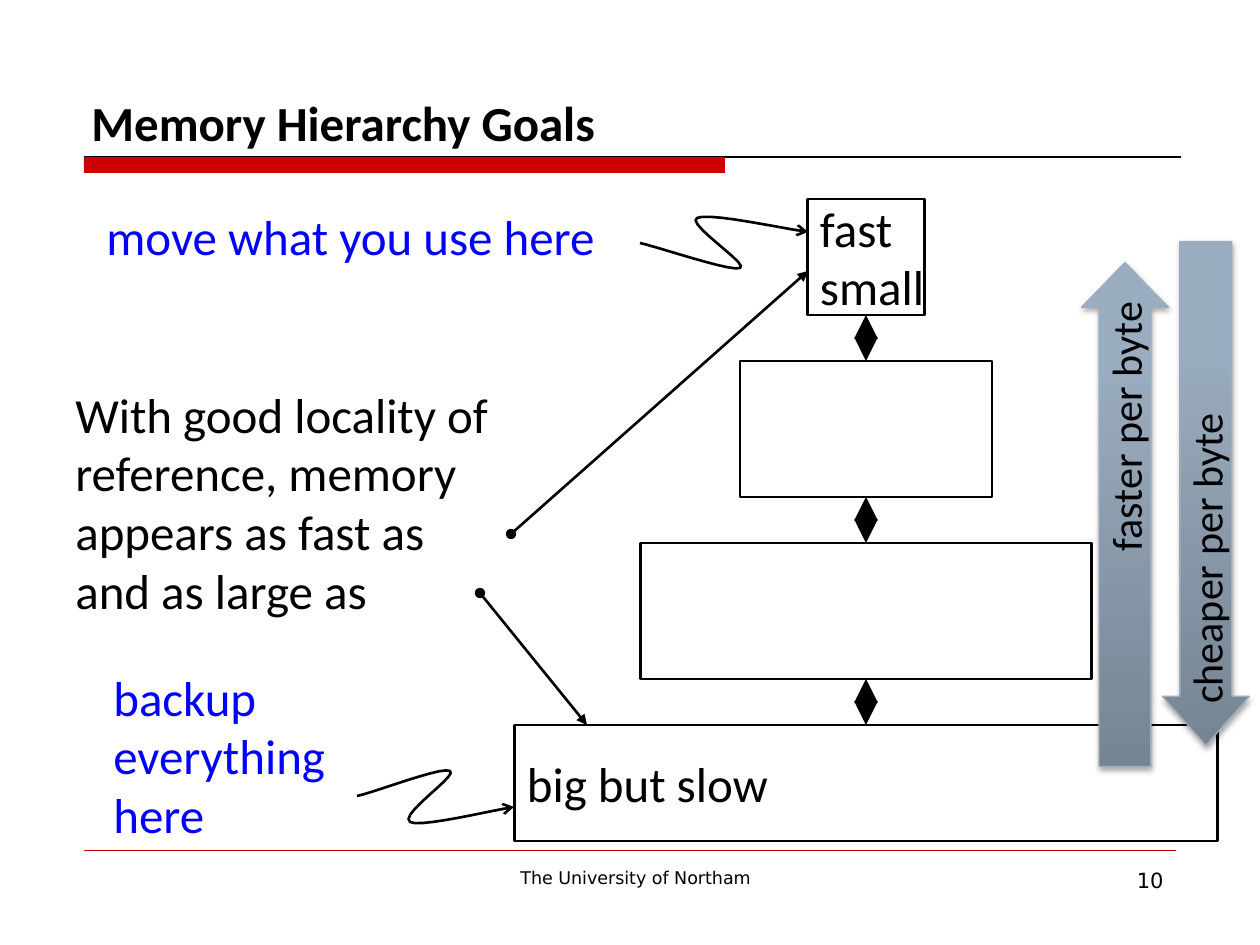
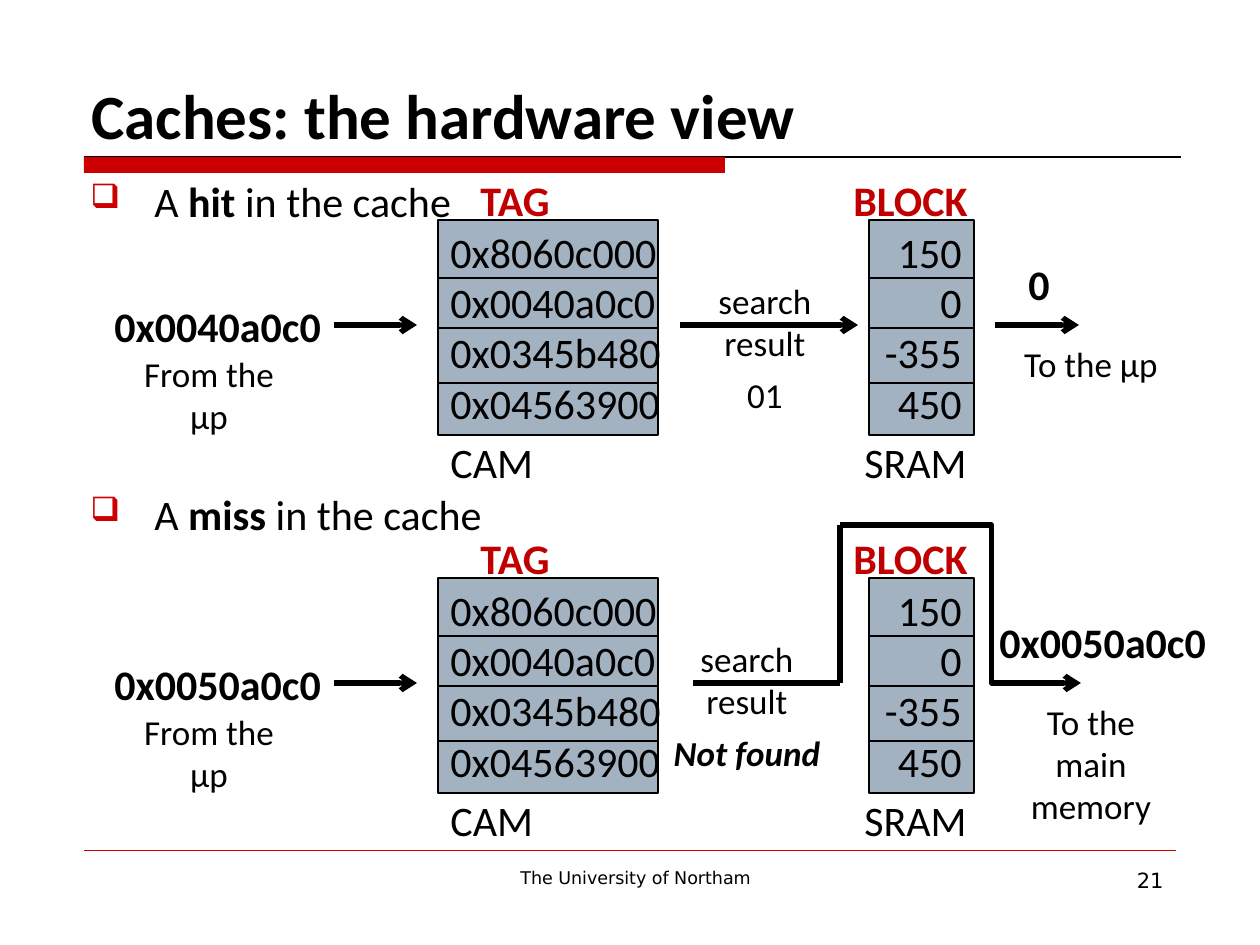
"""Build two lecture slides on the memory hierarchy and on cache hits and misses."""
from lxml import etree
from pptx import Presentation
from pptx.dml.color import RGBColor
from pptx.enum.shapes import MSO_CONNECTOR, MSO_SHAPE
from pptx.enum.text import MSO_ANCHOR, PP_ALIGN
from pptx.oxml.ns import qn
from pptx.util import Emu, Pt

SCALE = 914400 / 126
BLACK = RGBColor(0, 0, 0)
WHITE = RGBColor(255, 255, 255)
BLUE = RGBColor(0, 0, 255)
RED = RGBColor(0xCC, 0, 0)
DARK_RED = RGBColor(0xC0, 0, 0)
CELL_GRAY = RGBColor(0xA3, 0xB2, 0xC1)
ARROW_DARK = RGBColor(0x76, 0x85, 0x93)
ARROW_LIGHT = RGBColor(0x9A, 0xAC, 0xBF)
ARROW_EDGE = RGBColor(0x9F, 0xAE, 0xBD)
STRAIGHT, ELBOW = MSO_CONNECTOR.STRAIGHT, MSO_CONNECTOR.ELBOW
RECTANGLE, RIGHT_ARROW = MSO_SHAPE.RECTANGLE, MSO_SHAPE.RIGHT_ARROW
LEFT, CENTER, RIGHT = PP_ALIGN.LEFT, PP_ALIGN.CENTER, PP_ALIGN.RIGHT
TOP, MIDDLE, BOTTOM = MSO_ANCHOR.TOP, MSO_ANCHOR.MIDDLE, MSO_ANCHOR.BOTTOM
BODY_FONT, FOOTER_FONT = "Calibri", "DejaVu Sans"

FOOTER = "The University of Northam"

LEVELS = [
    (117, 116, ["fast", "small"]),
    (252, 136, []),
    (451, 136, []),
    (703, 116, ["big but slow"]),
]
LEVEL_CENTER, LEVEL_TOP, LEVEL_GAP = 866, 199, 46
HIERARCHY_NOTES = [
    ((94, 200, 520, 72), ["move what you use here"], BLUE),
    ((101, 661, 240, 190), ["backup", "everything", "here"], BLUE),
    ((63, 378, 466, 250),
     ["With good locality of reference, memory appears as fast as", "and as large as"], BLACK),
]
SQUIGGLES = [
    [(640, 243), (658, 247), (731, 272), (740, 268), (750, 265), (685, 223), (697, 218),
     (708, 212), (785, 229), (808, 232)],
    [(357, 796), (373, 793), (442, 766), (450, 771), (459, 775), (398, 815), (410, 822),
     (420, 828), (493, 810), (514, 807)],
]
LOCALITY_ARROWS = [((511, 534), (808, 271)), ((480, 593), (587, 725))]
PRICE_ARROWS = [
    ((873, 471), "faster per byte", RIGHT, 0.515, False),
    ((954, 450), "cheaper per byte", LEFT, 0.565, True),
]

TAGS = ["0x8060c000", "0x0040a0c0", "0x0345b480", "0x04563900"]
BLOCKS = ["150", "0", "-355", "450"]
STORES = [(438, 220, TAGS, LEFT), (869, 105, BLOCKS, RIGHT)]
ROW_RULES = [278, 328, 383]
STORE_TOP, STORE_HEIGHT = 220, 215
STORE_LABELS = [
    (468, 168, "TAG", DARK_RED, True),
    (841, 168, "BLOCK", DARK_RED, True),
    (438, 430, "CAM", BLACK, False),
    (852, 430, "SRAM", BLACK, False),
]
MISS_OFFSET = 358
CASES = [
    {"shift": 0, "bullet": 169, "word": "hit", "address": "0x0040a0c0",
     "result": (669, [("01", "")]), "output": (1016, 252, "0"), "target": "To the µp"},
    {"shift": MISS_OFFSET, "bullet": 482, "word": "miss", "address": "0x0050a0c0",
     "result": (651, [("Not found", "bi")]), "output": (987, 252, "0x0050a0c0"),
     "target": "To the main memory"},
]
INPUT_ARROW = ((334, 325), (417, 325))
HIT_ARROWS = [((680, 325), (858, 325)), ((995, 325), (1079, 325))]
BYPASS_LINES = [((840, 525), (840, 683)), ((840, 683), (693, 683))]
BYPASS_ARROW = ((840, 525), (1081, 683))


def px(length):
    return Emu(round(length * SCALE))


def add_xml(parent, tag, **attributes):
    return etree.SubElement(parent, qn(tag), attributes)


def write_text(box, paragraphs, size=28, color=BLACK, bold=False, font=BODY_FONT,
               align=LEFT, anchor=TOP, wrap=False, after=0):
    frame = box.text_frame
    frame.word_wrap = wrap
    frame.vertical_anchor = anchor
    for index, content in enumerate(paragraphs):
        para = frame.paragraphs[0] if index == 0 else frame.add_paragraph()
        para.alignment = align
        para.space_after = Pt(after)
        for text, style in [(content, "")] if isinstance(content, str) else content:
            span = para.add_run()
            span.text = text
            span.font.size = Pt(size)
            span.font.name = font
            span.font.color.rgb = color
            span.font.bold = bold or "b" in style
            span.font.italic = "i" in style


def add_text(page, area, paragraphs, **text_format):
    box = page.shapes.add_textbox(*map(px, area))
    write_text(box, paragraphs, **text_format)
    return box


def add_box(page, area, fill, line_width=None):
    box = page.shapes.add_shape(RECTANGLE, *map(px, area))
    box.shadow.inherit = False
    box.fill.solid()
    box.fill.fore_color.rgb = fill
    if line_width is None:
        box.line.fill.background()
    else:
        box.line.color.rgb = BLACK
        box.line.width = Pt(line_width)
    return box


def style_line(shape, width, color=BLACK, head=None, tail=None):
    shape.line.color.rgb = color
    shape.line.width = Pt(width)
    outline = shape._element.spPr.get_or_add_ln()
    for tag, kind in (("a:headEnd", head), ("a:tailEnd", tail)):
        if kind:
            add_xml(outline, tag, type=kind)


def add_line(page, start, end, width, kind=STRAIGHT, **line_format):
    line = page.shapes.add_connector(kind, *map(px, start + end))
    style_line(line, width, **line_format)
    add_xml(line._element.spPr, "a:effectLst")
    return line


def add_squiggle(page, points, steps=10):
    curve = [points[0]]
    for first in range(0, len(points) - 1, 3):
        start, pull, push, end = points[first:first + 4]
        for step in range(1, steps + 1):
            t = step / steps
            u = 1 - t
            curve.append([u**3 * a + 3 * u * u * t * b + 3 * u * t * t * c + t**3 * d
                          for a, b, c, d in zip(start, pull, push, end)])
    corners = [(px(x), px(y)) for x, y in curve]
    builder = page.shapes.build_freeform(*corners[0])
    builder.add_line_segments(corners[1:], close=False)
    squiggle = builder.convert_to_shape()
    squiggle.shadow.inherit = False
    squiggle.fill.background()
    style_line(squiggle, 1.5, tail="arrow")


def add_price_arrow(page, corner, label, align, head_length, flipped):
    arrow = page.shapes.add_shape(RIGHT_ARROW, *map(px, corner + (504, 87)))
    arrow.adjustments[0], arrow.adjustments[1] = 0.596, head_length
    arrow.rotation = 270
    properties = arrow._element.spPr
    if flipped:
        properties.find(qn("a:xfrm")).set("flipH", "1")
    arrow.fill.gradient()
    arrow.fill.gradient_angle = 90
    for stop, color, position in zip(arrow.fill.gradient_stops, (ARROW_DARK, ARROW_LIGHT), (0, 0.8)):
        stop.color.rgb = color
        stop.position = position
    properties.find(qn("a:gradFill")).set("rotWithShape", "0")
    style_line(arrow, 0.75, color=ARROW_EDGE)
    arrow.shadow.inherit = False
    shadow = add_xml(properties.find(qn("a:effectLst")), "a:outerShdw", blurRad="40000",
                     dist="23000", dir="5400000", rotWithShape="0")
    add_xml(add_xml(shadow, "a:srgbClr", val="000000"), "a:alpha", val="35000")
    write_text(arrow, [label], size=24, align=align, anchor=MIDDLE)


def add_bullet(page, top, word):
    box = add_text(page, (78, top, 500, 64), [[("A ", ""), (word, "b"), (" in the cache", "")]],
                   size=24, wrap=True)
    properties = box.text_frame.paragraphs[0]._p.get_or_add_pPr()
    properties.set("marL", str(px(64)))
    properties.set("indent", str(px(-64)))
    add_xml(add_xml(properties, "a:buClr"), "a:srgbClr", val=str(RED))
    add_xml(properties, "a:buSzPct", val="80000")
    add_xml(properties, "a:buChar", char="❑")


def add_page(deck, title, title_size, number):
    page = deck.slides.add_slide(deck.slide_layouts[6])
    add_line(page, (84, 157), (1181, 157), 0.75)
    add_box(page, (84, 157, 641, 16), RED)
    add_line(page, (84, 850), (1176, 850), 0.25, color=RED)
    add_text(page, (399, 861, 473, 34), [FOOTER], size=10, font=FOOTER_FONT, align=CENTER, wrap=True)
    add_text(page, (966, 861, 210, 66), [number], size=12, font=FOOTER_FONT, align=RIGHT, wrap=True)
    add_text(page, (79, 42, 1102, 116), [title], size=title_size, bold=True, anchor=BOTTOM, wrap=True)
    return page


def build_hierarchy(deck):
    page = add_page(deck, "Memory Hierarchy Goals", 28, "10")
    top = LEVEL_TOP
    for index, (width, height, words) in enumerate(LEVELS):
        level = add_box(page, (LEVEL_CENTER - width / 2, top, width, height), WHITE, 1.5)
        write_text(level, words, anchor=MIDDLE)
        if index:
            add_line(page, (LEVEL_CENTER, top - LEVEL_GAP), (LEVEL_CENTER, top), 4.5,
                     head="triangle", tail="triangle")
        top += height + LEVEL_GAP
    for area, words, color in HIERARCHY_NOTES:
        add_text(page, area, words, color=color, wrap=True)
    for points in SQUIGGLES:
        add_squiggle(page, points)
    for start, end in LOCALITY_ARROWS:
        add_line(page, start, end, 1.5, head="oval", tail="triangle")
    for price_arrow in PRICE_ARROWS:
        add_price_arrow(page, *price_arrow)


def add_case(page, case):
    shift = case["shift"]
    add_bullet(page, case["bullet"], case["word"])
    for left, width, values, align in STORES:
        store = add_box(page, (left, STORE_TOP + shift, width, STORE_HEIGHT), CELL_GRAY, 0.75)
        write_text(store, values, size=24, align=align)
        for y in ROW_RULES:
            add_line(page, (left, y + shift), (left + width, y + shift), 0.75)
    for left, top, label, color, bold in STORE_LABELS:
        add_text(page, (left, top + shift, 150, 64), [label], size=24, color=color, bold=bold, wrap=True)
    output_left, output_top, output = case["output"]
    for left, top, value in ((102, 294, case["address"]), (output_left, output_top, output)):
        width = 233 if len(value) > 1 else 47
        add_text(page, (left, top + shift, width, 63), [value], size=24, bold=True)
    result_left, result = case["result"]
    for left, top, words in ((113, 346, ["From the µp"]),
                             (result_left, 273, ["search result", result]),
                             (995, 336, [case["target"]])):
        add_text(page, (left, top + shift, 192, 97), words, size=20, align=CENTER, wrap=True, after=6)
    start, end = [(x, y + shift) for x, y in INPUT_ARROW]
    add_line(page, start, end, 3, tail="arrow")


def build_caches(deck):
    page = add_page(deck, "Caches: the hardware view", 36, "21")
    for case in CASES:
        add_case(page, case)
    for start, end in HIT_ARROWS:
        add_line(page, start, end, 3, tail="arrow")
    for start, end in BYPASS_LINES:
        add_line(page, start, end, 3)
    bypass = add_line(page, *BYPASS_ARROW, 3, kind=ELBOW, tail="arrow")
    geometry = bypass._element.spPr.find(qn("a:prstGeom"))
    add_xml(geometry.find(qn("a:avLst")), "a:gd", name="adj1", fmla="val 62900")


def main():
    deck = Presentation()
    deck.slide_width, deck.slide_height = px(1260), px(945)
    build_hierarchy(deck)
    build_caches(deck)
    deck.save("out.pptx")


if __name__ == "__main__":
    main()
